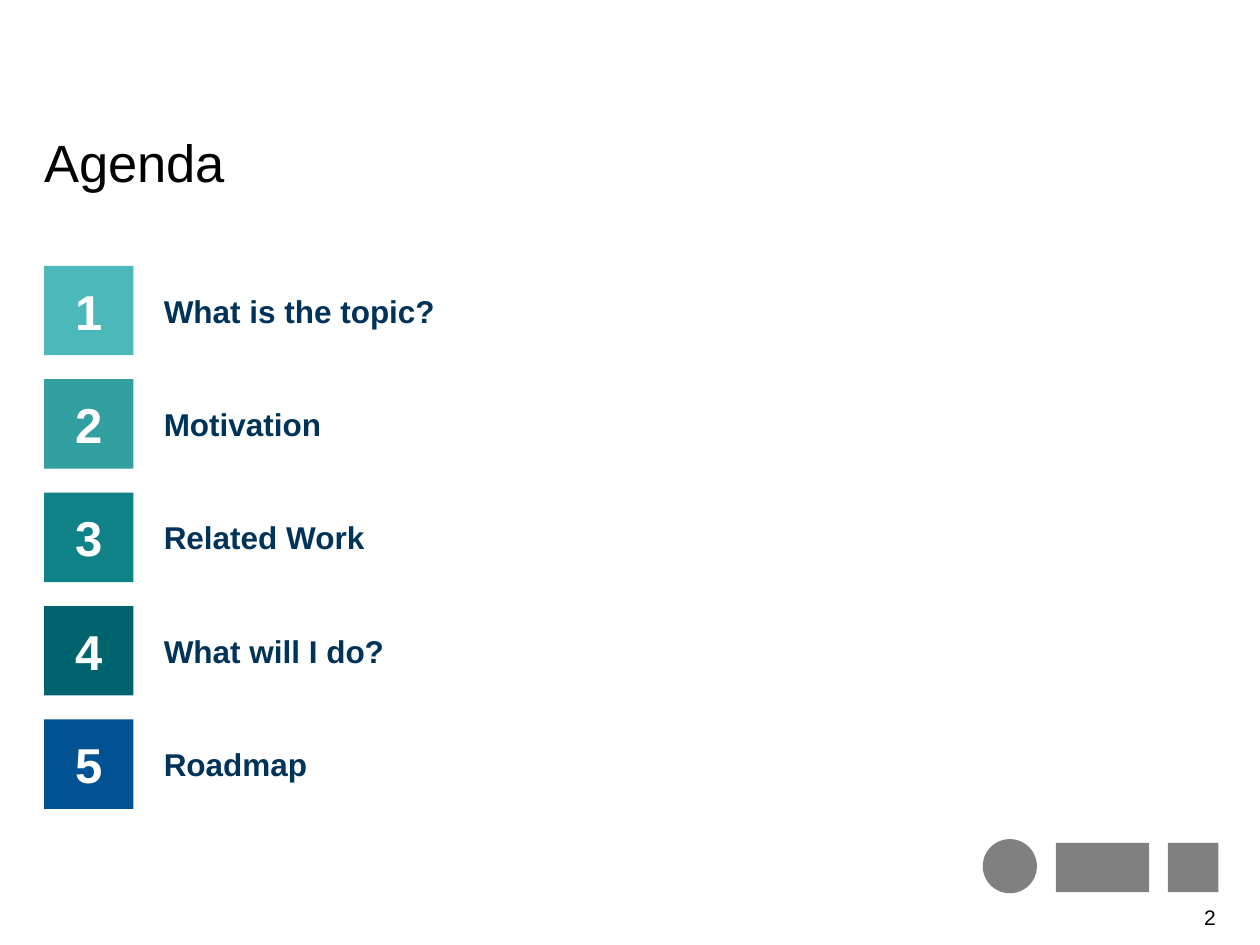
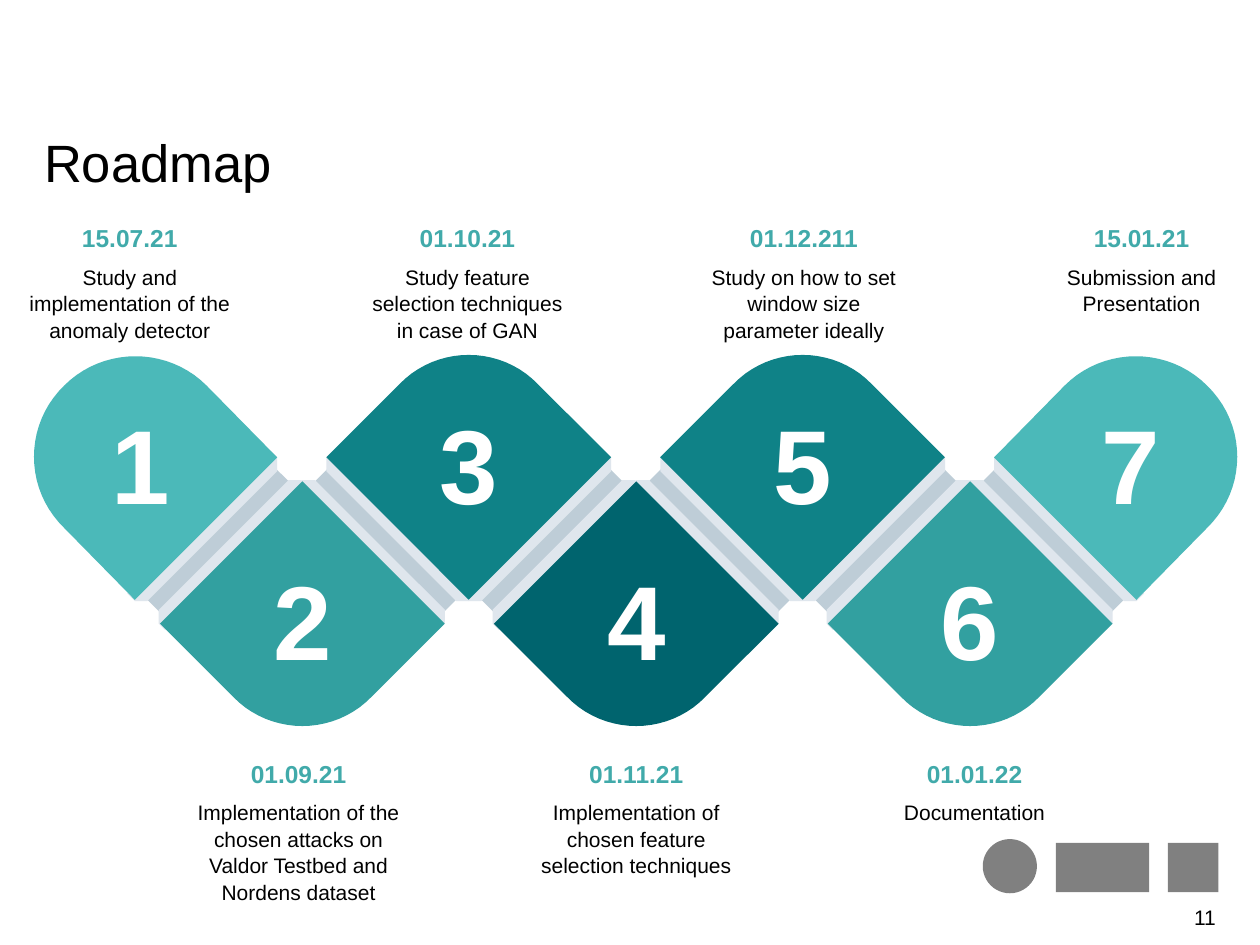
from pptx import Presentation
from pptx.dml.color import RGBColor
from pptx.enum.shapes import MSO_SHAPE as SHAPE
from pptx.enum.text import MSO_ANCHOR as ANCHOR, PP_ALIGN as ALIGN
from pptx.util import Pt

PX = 9144  # EMU per px, 100 px to the inch
FONT = "Arial"
COLOURS = {
    "black": "000000", "white": "FFFFFF", "grey": "808080", "navy": "003359",
    "blue": "005293", "aqua": "4BB9B9", "teal": "32A0A0", "sea": "0F8287",
    "deep": "00646E", "date": "41AAAA", "core": "BECDD7", "edge": "DFE6ED",
}


def paint(shape, colour):
    """Give a shape a flat fill without outline or shadow."""
    shape.shadow.inherit = False
    shape.fill.solid()
    shape.fill.fore_color.rgb = RGBColor.from_string(COLOURS[colour])
    shape.line.fill.background()


def write(shape, lines, align=ALIGN.LEFT, insets=(0, 0, 0, 0), anchor=ANCHOR.TOP):
    """Write (text, size, colour, bold) lines; insets run left, top, right, bottom."""
    frame = shape.text_frame
    frame.word_wrap = True
    frame.vertical_anchor = anchor
    frame.margin_left, frame.margin_top, frame.margin_right, frame.margin_bottom = (
        inset * PX for inset in insets)
    frame.text = "\n".join(line[0] for line in lines)
    for paragraph, (_, size, colour, bold) in zip(frame.paragraphs, lines):
        paragraph.alignment = align
        font = paragraph.runs[0].font
        font.name, font.size, font.bold = FONT, Pt(size), bold
        font.color.rgb = RGBColor.from_string(COLOURS[colour])


deck = Presentation()
deck.slide_width, deck.slide_height = 1000 * PX, 750 * PX

# What both slides share: footer marks, page number and title
FOOTER_MARKS = [
    (SHAPE.RECTANGLE, 927, 669, 40, 39),
    (SHAPE.RECTANGLE, 838, 669, 74, 39),
    (SHAPE.OVAL, 780, 666, 43, 43),
]
slides = []
for heading, page in [("Agenda", "2"), ("Roadmap", "11")]:
    slide = deck.slides.add_slide(deck.slide_layouts[6])
    slides.append(slide)
    for kind, *box in FOOTER_MARKS:
        paint(slide.shapes.add_shape(kind, *(n * PX for n in box)), "grey")
    page_number = slide.shapes.add_textbox(741 * PX, 708 * PX, 224 * PX, 40 * PX)
    write(page_number, [(page, 12, "black", False)], ALIGN.RIGHT, (0, 5, 0, 5), ANCHOR.MIDDLE)
    title = slide.shapes.add_textbox(35 * PX, 109 * PX, 931 * PX, 45 * PX)
    write(title, [(heading, 30, "black", False)])
    title.text_frame.paragraphs[0].line_spacing = Pt(32)
agenda, roadmap = slides

# Agenda: a numbered square and a label in each row
TOPICS = [
    ("What is the topic?", "aqua"),
    ("Motivation", "teal"),
    ("Related Work", "sea"),
    ("What will I do?", "deep"),
    ("Roadmap", "blue"),
]
for row, (topic, colour) in enumerate(TOPICS):
    cells = [
        (35, 71, colour, (str(row + 1), 28, "white", True), ALIGN.CENTER),
        (114, 520, "white", (topic, 18, "navy", True), ALIGN.LEFT),
    ]
    for left, width, fill, line, align in cells:
        cell = agenda.shapes.add_shape(
            SHAPE.RECTANGLE, left * PX, (211 + 90 * row) * PX, width * PX, 71 * PX)
        paint(cell, fill)
        write(cell, [line], align, (16, 8, 16, 8), ANCHOR.MIDDLE)

# Roadmap outlines, as offsets from the middle of a band or the tip of a tile
BAND_CORE = [(44, -59), (59, -44), (-44, 59), (-59, 44)]
BAND_EDGE = [(-47, 66), (-47, 55), (56, -48), (66, -48), (72, -42), (-42, 71)]
INNER_CORNERS = [(-113, -113), (0, 0), (113, -113)]
INNER_ARCS = [[(55, -171), (25, -202), (-25, -202), (-55, -171)]]
END_CORNERS = [(0, 0), (113, -113)]
END_ARCS = [
    [(57, -170), (26, -201), (-25, -201), (-56, -170)],
    [(-56, -170), (-88, -139), (-88, -88), (-56, -57)],
]
STEPS = 20
BEZIER_WEIGHTS = [
    ((1 - t) ** 3, 3 * t * (1 - t) ** 2, 3 * t * t * (1 - t), t ** 3)
    for t in (step / STEPS for step in range(STEPS + 1))]

TILE_COLOURS = ["aqua", "teal", "sea", "deep", "sea", "teal", "aqua"]
last = len(TILE_COLOURS) - 1
tile_x = [107 + (265 * i + 1) // 2 for i in range(last + 1)]

outlines = []  # points, centre, x and y direction, colour, number, insets
for i in range(last):
    middle = ((tile_x[i] + tile_x[i + 1]) // 2, 429)
    slant = -1 if i % 2 else 1
    outlines += [
        (BAND_CORE, middle, slant, 1, "core", None, None),
        (BAND_EDGE, middle, slant, 1, "edge", None, None),
        (BAND_EDGE, middle, -slant, -1, "edge", None, None),
    ]
for i, colour in enumerate(TILE_COLOURS):
    lower = i % 2 == 1
    corners, arcs = (END_CORNERS, END_ARCS) if i in (0, last) else (INNER_CORNERS, INNER_ARCS)
    rounding = [
        tuple(sum(w * point[axis] for w, point in zip(weights, arc)) for axis in (0, 1))
        for arc in arcs for weights in BEZIER_WEIGHTS]
    insets = (24 * (i == last), 24 * lower, 24 * (i == 0), 24 * (not lower))
    outlines.append((corners + rounding, (tile_x[i], 382 if lower else 476),
                     -1 if i == last else 1, -1 if lower else 1, colour, str(i + 1), insets))

for points, (x, y), x_way, y_way, colour, number, insets in outlines:
    corners = [(round((x + x_way * dx) * PX), round((y + y_way * dy) * PX)) for dx, dy in points]
    builder = roadmap.shapes.build_freeform(*corners[0])
    builder.add_line_segments(corners[1:], close=True)
    piece = builder.convert_to_shape()
    paint(piece, colour)
    if number:
        write(piece, [(number, 60, "white", True)], ALIGN.CENTER, insets, ANCHOR.MIDDLE)

# Milestones above and below the tiles
MILESTONES = [
    (19, 176, 168, 93, "15.07.21", "Study and implementation of the anomaly detector"),
    (287, 176, 168, 93, "01.10.21", "Study feature selection techniques in case of GAN"),
    (554, 176, 168, 93, "01.12.211", "Study on how to set window size parameter ideally"),
    (822, 176, 168, 72, "15.01.21", "Submission and Presentation"),
    (153, 601, 168, 113, "01.09.21",
     "Implementation of the chosen attacks on Valdor Testbed and Nordens dataset"),
    (421, 601, 168, 93, "01.11.21", "Implementation of chosen feature selection techniques"),
    (713, 601, 121, 52, "01.01.22", "Documentation"),
]
for *box, date, task in MILESTONES:
    milestone = roadmap.shapes.add_textbox(*(n * PX for n in box))
    write(milestone, [(date, 14, "date", True), (task, 12, "black", False)], ALIGN.CENTER)
    for paragraph in milestone.text_frame.paragraphs:
        paragraph.space_before = Pt(6)
        paragraph.line_spacing = 1.05

deck.save("out.pptx")
